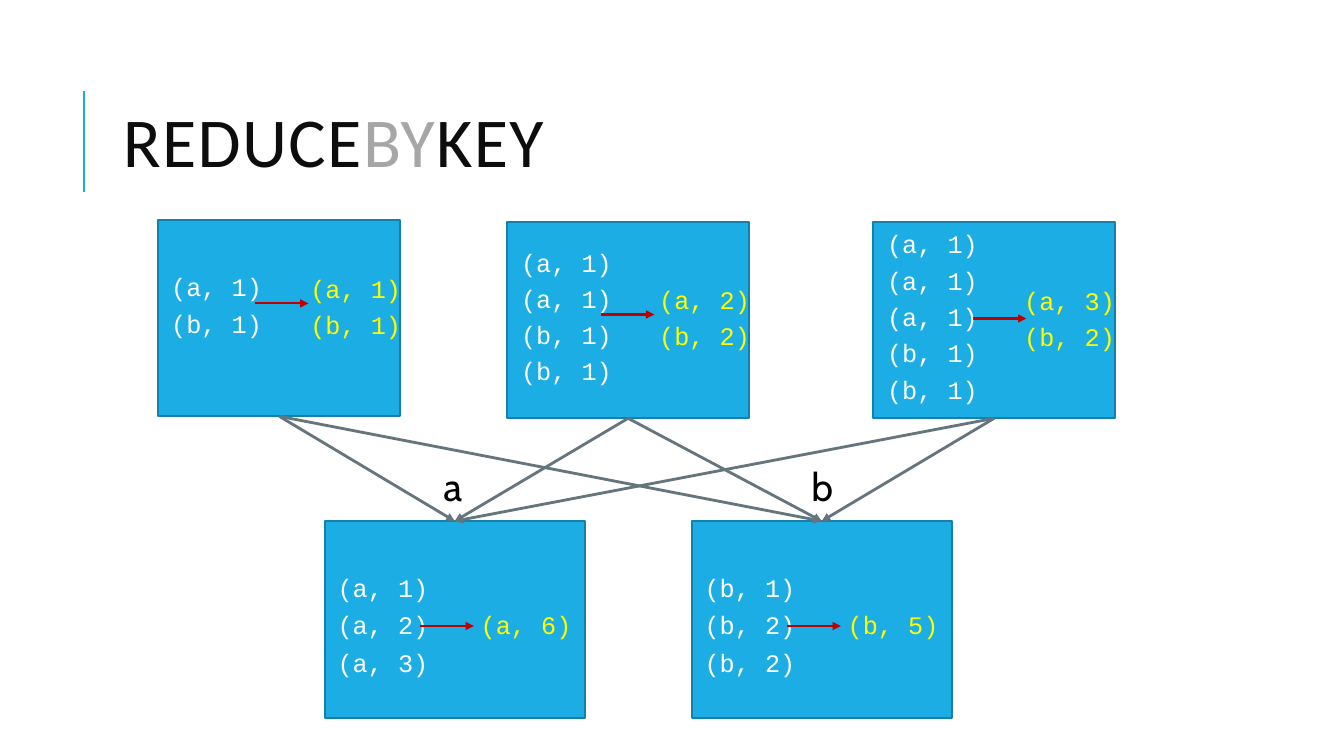
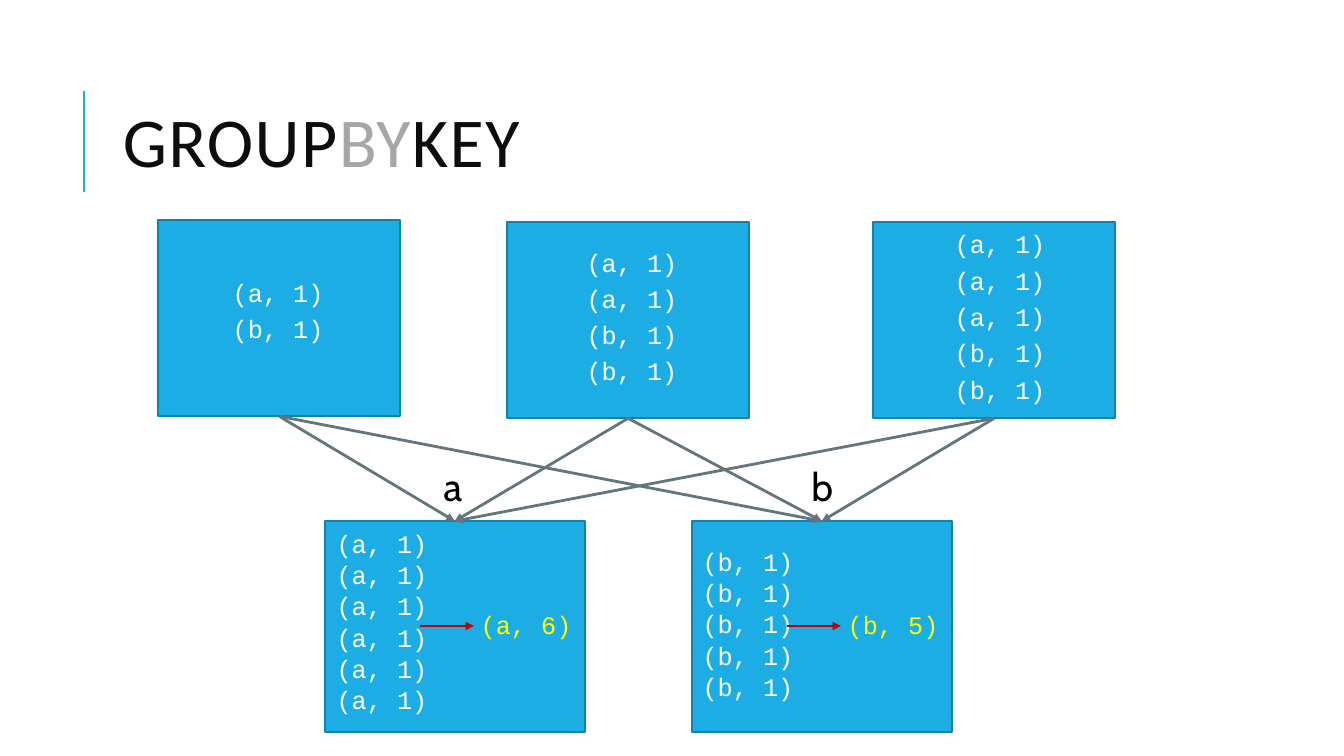
from dataclasses import dataclass

from lxml.etree import SubElement
from pptx import Presentation
from pptx.dml.color import RGBColor
from pptx.enum.shapes import MSO_CONNECTOR, MSO_SHAPE
from pptx.enum.text import MSO_ANCHOR, MSO_AUTO_SIZE
from pptx.oxml.ns import qn
from pptx.util import Emu, Pt

PX = 9144


@dataclass(frozen=True)
class Theme:
    accent: str = "1CADE4"
    outline: str = "1580A9"
    title: str = "0D0D0D"
    muted: str = "A6A6A6"
    pair: str = "FFFFFF"
    result: str = "FFFF00"
    reduce: str = "C00000"
    shuffle: str = "65757D"
    label: str = "000000"
    title_font: str = "Calibri"
    pair_font: str = "Courier New"
    label_font: str = "Cabin"
    title_size: int = 50
    label_size: int = 28
    pair_size: int = 18


@dataclass(frozen=True)
class Column:
    left: int
    top: int
    pitch: int
    pairs: tuple


@dataclass(frozen=True)
class Card:
    left: int
    top: int
    width: int
    height: int
    inputs: Column
    results: Column = None
    arrow: tuple = None

    @property
    def center(self):
        return self.left + self.width // 2

    @property
    def bottom(self):
        return self.top + self.height


class Painter:
    def __init__(self, deck, theme):
        self.deck = deck
        self.theme = theme
        self.page = None

    def start_page(self, title_parts):
        self.page = self.deck.slides.add_slide(self.deck.slide_layouts[6])
        self.line((83, 190), (83, 90), self.theme.accent, 1.5)
        self.title(title_parts)

    def text(self, left, top, width, height, runs, font, size):
        box = self.page.shapes.add_textbox(*[Emu(n * PX) for n in (left, top, width, height)])
        frame = box.text_frame
        frame.word_wrap = True
        para = frame.paragraphs[0]
        for words, color in runs:
            span = para.add_run()
            span.text = words
            span.font.name = font
            span.font.size = Pt(size)
            span.font.color.rgb = RGBColor.from_string(color)
        return frame

    def title(self, parts):
        theme = self.theme
        runs = zip(parts, (theme.title, theme.muted, theme.title))
        frame = self.text(112, 64, 1063, 164, runs, theme.title_font, theme.title_size)
        frame.vertical_anchor = MSO_ANCHOR.MIDDLE
        para = frame.paragraphs[0]
        para.line_spacing = 0.8
        for span in para.runs:
            span.font._element.set("spc", "100")

    def line(self, start, end, color, weight, arrow=False):
        ends = [Emu(n * PX) for n in (*start, *end)]
        connector = self.page.shapes.add_connector(MSO_CONNECTOR.STRAIGHT, *ends)
        connector.line.color.rgb = RGBColor.from_string(color)
        connector.line.width = Pt(weight)
        properties = connector.element.spPr
        if arrow:
            SubElement(properties.find(qn("a:ln")), qn("a:tailEnd"), type="triangle")
        SubElement(properties, qn("a:effectLst"))

    def column(self, column, color):
        for row, pair in enumerate(column.pairs):
            frame = self.text(column.left, column.top + row * column.pitch, 117, 40,
                              [(pair, color)], self.theme.pair_font, self.theme.pair_size)
            frame.auto_size = MSO_AUTO_SIZE.SHAPE_TO_FIT_TEXT

    def card(self, card):
        bounds = [Emu(n * PX) for n in (card.left, card.top, card.width, card.height)]
        shape = self.page.shapes.add_shape(MSO_SHAPE.RECTANGLE, *bounds)
        shape.shadow.inherit = False
        shape.fill.solid()
        shape.fill.fore_color.rgb = RGBColor.from_string(self.theme.accent)
        shape.line.color.rgb = RGBColor.from_string(self.theme.outline)
        shape.line.width = Pt(1.25)
        self.column(card.inputs, self.theme.pair)
        if card.results:
            self.column(card.results, self.theme.result)
        if card.arrow:
            left, top = card.arrow
            self.line((left, top), (left + 53, top), self.theme.reduce, 1.5, arrow=True)

    def shuffle(self, sources, targets):
        for source in sources:
            for target in targets:
                self.line((source.center, source.bottom), (target.center, target.top),
                          self.theme.shuffle, 2, arrow=True)

    def label(self, left, key):
        frame = self.text(left, 454, 69, 57, [(key, self.theme.label)],
                          self.theme.label_font, self.theme.label_size)
        frame.auto_size = MSO_AUTO_SIZE.SHAPE_TO_FIT_TEXT

    def diagram(self, title_parts, sources, targets):
        self.start_page(title_parts)
        for card in (*sources, *targets):
            self.card(card)
        self.shuffle(sources, targets)
        self.label(430, "a")
        self.label(795, "b")


def source(left, top, inputs, results=None, arrow=None):
    return Card(left, top, 240, 195, inputs, results, arrow)


def target(left, height, inputs, total):
    return Card(left, 517, 258, height, inputs,
                Column(left + 145, 600, 0, (total,)), (left + 95, 621))


def main():
    deck = Presentation()
    deck.slide_width = Emu(1333 * PX)
    deck.slide_height = Emu(750 * PX)
    painter = Painter(deck, Theme())

    a1, b1 = "(a, 1)", "(b, 1)"
    first, second, third = (a1, b1), (a1,) * 2 + (b1,) * 2, (a1,) * 3 + (b1,) * 2

    painter.diagram(
        ("REDUCE", "BY", "KEY"),
        (
            source(157, 218, Column(160, 264, 37, first),
                   Column(298, 266, 36, (a1, b1)), (253, 301)),
            source(503, 220, Column(507, 240, 36, second),
                   Column(644, 277, 36, ("(a, 2)", "(b, 2)")), (596, 312)),
            source(866, 220, Column(870, 222, 36, third),
                   Column(1006, 278, 36, ("(a, 3)", "(b, 2)")), (965, 316)),
        ),
        (
            target(322, 195, Column(325, 563, 37, (a1, "(a, 2)", "(a, 3)")), "(a, 6)"),
            target(686, 195, Column(689, 563, 37, (b1, "(b, 2)", "(b, 2)")), "(b, 5)"),
        ),
    )
    painter.diagram(
        ("GROUP", "BY", "KEY"),
        (
            source(157, 218, Column(221, 270, 36, first)),
            source(503, 220, Column(572, 240, 36, second)),
            source(866, 220, Column(937, 222, 36, third)),
        ),
        (
            target(322, 209, Column(324, 519, 31, (a1,) * 6), "(a, 6)"),
            target(686, 209, Column(687, 537, 31, (b1,) * 5), "(b, 5)"),
        ),
    )
    deck.save("out.pptx")


if __name__ == "__main__":
    main()
